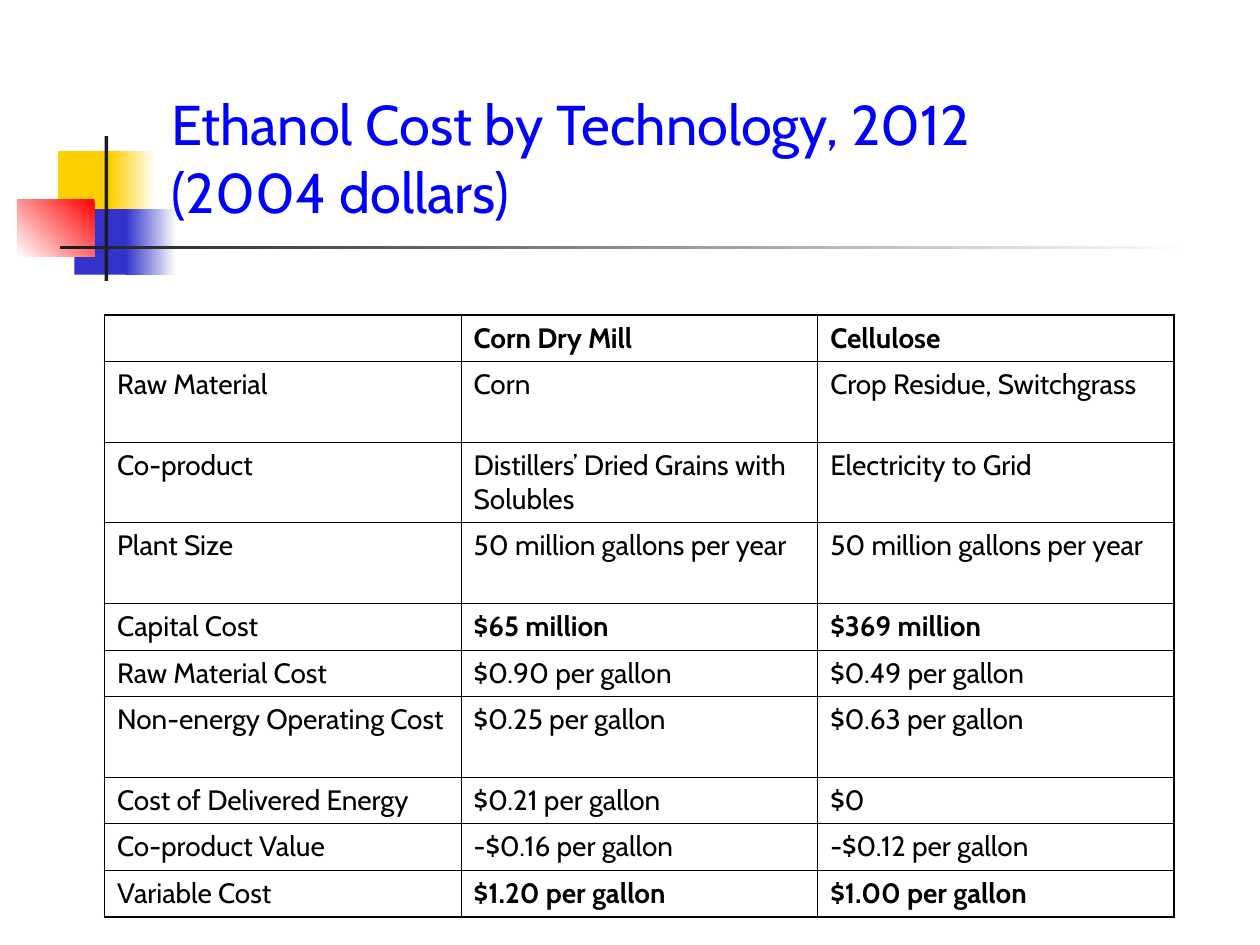
import pptx
import pptx.dml.color
import pptx.enum.shapes
import pptx.enum.text
import pptx.oxml
import pptx.oxml.ns
import pptx.util
from pptx.dml.color import RGBColor
from pptx.util import Inches

FONT = "Cabin"
BLACK = RGBColor(0x00, 0x00, 0x00)
WHITE = RGBColor(0xFF, 0xFF, 0xFF)
TITLE_BLUE = RGBColor(0x00, 0x00, 0xFF)
YELLOW = RGBColor(0xFF, 0xCF, 0x01)
INDIGO = RGBColor(0x33, 0x33, 0xCC)
RED = RGBColor(0xFF, 0x00, 0x00)
CHARCOAL = RGBColor(0x1C, 0x1C, 0x1C)

OUTER_BORDER = pptx.util.Pt(1.08)
INNER_BORDER = pptx.util.Pt(0.45)
COLUMN_WIDTH = 2.83
SHORT_ROW = 0.37
TALL_ROW = 0.64

COSTS = [
    ("", "Corn Dry Mill", "Cellulose"),
    ("Raw Material", "Corn", "Crop Residue, Switchgrass"),
    ("Co-product", "Distillers’ Dried Grains with Solubles", "Electricity to Grid"),
    ("Plant Size", "50 million gallons per year", "50 million gallons per year"),
    ("Capital Cost", "$65 million", "$369 million"),
    ("Raw Material Cost", "$0.90 per gallon", "$0.49 per gallon"),
    ("Non-energy Operating Cost", "$0.25 per gallon", "$0.63 per gallon"),
    ("Cost of Delivered Energy", "$0.21 per gallon", "$0"),
    ("Co-product Value", "-$0.16 per gallon", "-$0.12 per gallon"),
    ("Variable Cost", "$1.20 per gallon", "$1.00 per gallon"),
]
TALL_ROWS = {1, 2, 3, 6}
BOLD_ROWS = {0, 4, 9}


def format_font(paragraph, size, color, bold=False):
    font = paragraph.font
    font.name = FONT
    font.size = pptx.util.Pt(size)
    font.color.rgb = color
    font.bold = bold


def add_block(slide, left, top, width, height, color, end_color=None, angle=180):
    """Add a borderless rectangle, fading to end_color if one is given."""
    block = slide.shapes.add_shape(
        pptx.enum.shapes.MSO_SHAPE.RECTANGLE,
        Inches(left), Inches(top), Inches(width), Inches(height))
    block.shadow.inherit = False
    block.line.fill.background()
    if end_color is None:
        block.fill.solid()
        block.fill.fore_color.rgb = color
        return
    block.fill.gradient()
    block.fill.gradient_angle = angle
    for stop, stop_color in zip(block.fill.gradient_stops, (color, end_color)):
        stop.color.rgb = stop_color


def add_ornament(slide):
    add_block(slide, 0.46, 1.2, 0.48, 0.52, YELLOW)
    add_block(slide, 0.88, 1.2, 0.36, 0.52, WHITE, YELLOW)
    add_block(slide, 0.59, 1.66, 0.46, 0.52, INDIGO)
    add_block(slide, 1, 1.66, 0.4, 0.52, WHITE, INDIGO)
    add_block(slide, 0.14, 1.58, 0.61, 0.46, RED, WHITE, angle=225)
    add_block(slide, 0.83, 1.08, 0.03, 1.15, CHARCOAL)
    add_block(slide, 0.48, 1.95, 9, 0.03, WHITE, CHARCOAL)


def set_title(slide, text):
    title = slide.shapes.title
    title.left, title.top = Inches(1.26), Inches(0.23)
    title.width, title.height = Inches(8.52), Inches(1.6)
    frame = title.text_frame
    frame.text = text
    frame.word_wrap = True
    frame.auto_size = pptx.enum.text.MSO_AUTO_SIZE.NONE
    frame.vertical_anchor = pptx.enum.text.MSO_ANCHOR.BOTTOM
    paragraph = frame.paragraphs[0]
    paragraph.alignment = pptx.enum.text.PP_ALIGN.LEFT
    format_font(paragraph, 32, TITLE_BLUE)
    # Bring the title in front of the ornament.
    slide.shapes._spTree.append(title._element)


def set_borders(cell, widths):
    """Draw black cell borders; widths are left, right, top, bottom."""
    properties = cell._tc.get_or_add_tcPr()
    for index, (side, width) in enumerate(zip("LRTB", widths)):
        border = pptx.oxml.parse_xml(
            f'<a:ln{side} {pptx.oxml.ns.nsdecls("a")} w="{int(width)}">'
            f'<a:solidFill><a:srgbClr val="{BLACK}"/></a:solidFill></a:ln{side}>')
        properties.insert(index, border)


def add_cost_table(slide):
    row_count, column_count = len(COSTS), len(COSTS[0])
    heights = [TALL_ROW if row in TALL_ROWS else SHORT_ROW for row in range(row_count)]
    table = slide.shapes.add_table(
        row_count, column_count, Inches(0.83), Inches(2.5),
        Inches(COLUMN_WIDTH * column_count), Inches(sum(heights))).table
    table.first_row = False
    table.horz_banding = False
    for column in table.columns:
        column.width = Inches(COLUMN_WIDTH)
    for row, (height, texts) in enumerate(zip(heights, COSTS)):
        table.rows[row].height = Inches(height)
        for column, text in enumerate(texts):
            cell = table.cell(row, column)
            cell.text = text
            cell.fill.background()
            format_font(cell.text_frame.paragraphs[0], 16, BLACK,
                        bold=row in BOLD_ROWS and column > 0)
            on_edge = (column == 0, column == column_count - 1,
                       row == 0, row == row_count - 1)
            set_borders(cell, [OUTER_BORDER if edge else INNER_BORDER
                               for edge in on_edge])


def main():
    presentation = pptx.Presentation()
    presentation.slide_width = Inches(10)
    presentation.slide_height = Inches(7.5)
    slide = presentation.slides.add_slide(presentation.slide_layouts[5])
    add_ornament(slide)
    set_title(slide, "Ethanol Cost by Technology, 2012\v(2004 dollars)")
    add_cost_table(slide)
    presentation.save("out.pptx")


if __name__ == "__main__":
    main()
